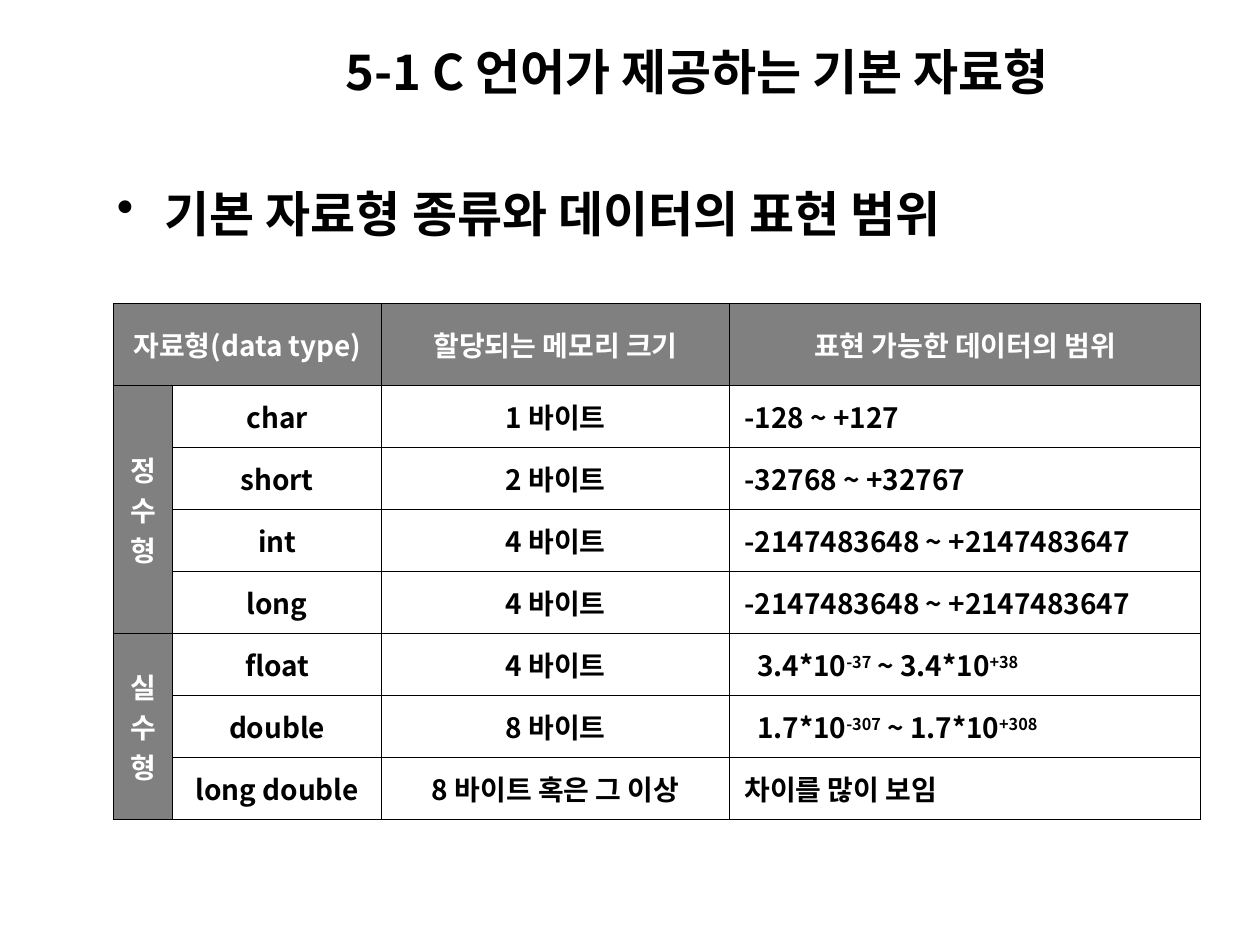
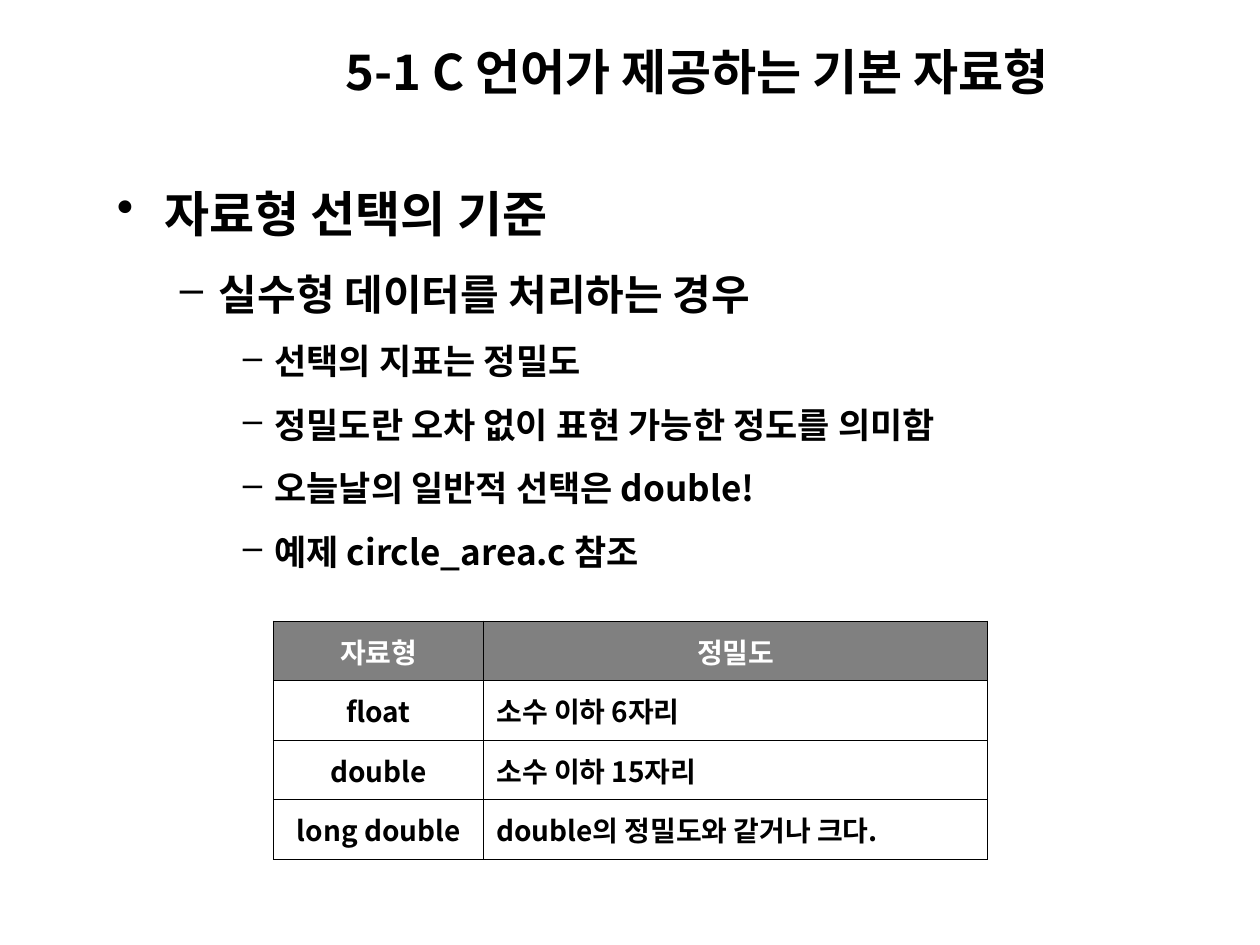
"""Builds two slides on the basic data types of C."""
from lxml.etree import SubElement
from pptx import Presentation
from pptx.dml.color import RGBColor
from pptx.enum.text import MSO_ANCHOR, PP_ALIGN
from pptx.oxml.ns import qn
from pptx.util import Inches, Pt

FONT = "Noto Sans CJK KR"
BLACK = RGBColor(0x00, 0x00, 0x00)
WHITE = RGBColor(0xFF, 0xFF, 0xFF)
GRAY = RGBColor(0x80, 0x80, 0x80)
OUTER, INNER = 0.75, 0.45
LEVELS = [
    {"size": 28, "left": 0.38, "hang": 0.38, "before": 7, "mark": "•"},
    {"size": 24, "left": 0.81, "hang": 0.31, "before": 6, "mark": "–"},
    {"size": 20, "left": 1.25, "hang": 0.25, "before": 5, "mark": "–"},
]
TITLE = "5-1 C 언어가 제공하는 기본 자료형"

TYPE_ROWS = [
    ["자료형(data type)", "", "할당되는 메모리 크기", "표현 가능한 데이터의 범위"],
    ["정\n수\n형", "char", "1 바이트", "-128 ~ +127"],
    ["", "short", "2 바이트", "-32768 ~ +32767"],
    ["", "int", "4 바이트", "-2147483648 ~ +2147483647"],
    ["", "long", "4 바이트", "-2147483648 ~ +2147483647"],
    ["실\n수\n형", "float", "4 바이트", "3.4*10^-37^ ~ 3.4*10^+38"],
    ["", "double", "8 바이트", "1.7*10^-307^ ~ 1.7*10^+308"],
    ["", "long double", "8 바이트 혹은 그 이상", "차이를 많이 보임"],
]
TYPE_MERGES = [((0, 0), (0, 1)), ((1, 0), (4, 0)), ((5, 0), (7, 0))]

PRECISION_ROWS = [
    ["자료형", "정밀도"],
    ["float", "소수 이하 6자리"],
    ["double", "소수 이하 15자리"],
    ["long double", "double의 정밀도와 같거나 크다."],
]

CRITERIA = [
    (0, "자료형 선택의 기준"),
    (1, "실수형 데이터를 처리하는 경우"),
    (2, "선택의 지표는 정밀도"),
    (2, "정밀도란 오차 없이 표현 가능한 정도를 의미함"),
    (2, "오늘날의 일반적 선택은 double!"),
    (2, "예제 circle_area.c 참조"),
]


class Deck:
    """Holds the style and the current slide; lengths are percentages of the slide."""

    def __init__(self):
        self.prs = Presentation()
        self.prs.slide_width, self.prs.slide_height = Inches(10), Inches(7.5)
        self.slide = None

    def x(self, percent):
        """Turn a share of the width into a length."""
        return round(self.prs.slide_width * percent / 100)

    def y(self, percent):
        """Turn a share of the height into a length."""
        return round(self.prs.slide_height * percent / 100)

    def box(self, left, top, width, height):
        """Turn four shares into a position and a size."""
        return self.x(left), self.y(top), self.x(width), self.y(height)

    def style(self, paragraph, size, color):
        """Format every run of a paragraph."""
        for run in paragraph.runs:
            run.font.size, run.font.bold, run.font.name = Pt(size), True, FONT
            run.font.color.rgb = color
            SubElement(run._r.get_or_add_rPr(), qn("a:ea"), typeface=FONT)

    def add_slide(self, text):
        """Start a slide with its title."""
        self.slide = self.prs.slides.add_slide(self.prs.slide_layouts[5])
        title = self.slide.shapes.title
        title.left, title.top, title.width, title.height = self.box(26.4, 3.73, 66.9, 7.6)
        title.text_frame.text = text
        title.text_frame.vertical_anchor = MSO_ANCHOR.MIDDLE
        heading = title.text_frame.paragraphs[0]
        heading.alignment = PP_ALIGN.LEFT
        self.style(heading, 28, BLACK)

    def bullets(self, top, height, items, spacing):
        """Add an outline of (level, text) items."""
        frame = self.slide.shapes.add_textbox(*self.box(8.3, top, 85, height)).text_frame
        frame.word_wrap = True
        frame.text = "\n".join(text for _, text in items)
        for index, (paragraph, (depth, _)) in enumerate(zip(frame.paragraphs, items)):
            level = LEVELS[depth]
            paragraph.level = depth
            props = paragraph._p.get_or_add_pPr()
            props.set("marL", str(Inches(level["left"])))
            props.set("indent", str(-Inches(level["hang"])))
            bullet_color = SubElement(props, qn("a:buClr"))
            SubElement(bullet_color, qn("a:srgbClr"), val=str(BLACK))
            SubElement(props, qn("a:buChar"), char=level["mark"])
            paragraph.line_spacing = spacing
            paragraph.space_before = Pt(level["before"] if index else 0)
            self.style(paragraph, level["size"], BLACK)

    def table(self, left, top, widths, heights, rows, merges=(), margin=1.0):
        """Add a ruled table with gray headings."""
        area = self.box(left, top, sum(widths), sum(heights))
        table = self.slide.shapes.add_table(len(rows), len(widths), *area).table
        table.first_row = table.horz_banding = False
        for column, width in zip(table.columns, widths):
            column.width = self.x(width)
        for row, height in zip(table.rows, heights):
            row.height = self.y(height)
        for first, last in merges:
            table.cell(*first).merge(table.cell(*last))
        for r, texts in enumerate(rows):
            for c, text in enumerate(texts):
                cell = table.cell(r, c)
                edges = {
                    "L": c == 0,
                    "R": c + cell.span_width == len(widths),
                    "T": r == 0,
                    "B": r + cell.span_height == len(rows),
                }
                self.borders(cell, edges)
                heading = r == 0 or cell.is_merge_origin or cell.is_spanned
                centred = heading or c < len(widths) - 1
                self.fill_cell(cell, text, heading, centred, margin)

    def borders(self, cell, edges):
        """Rule the four sides of a cell, heavier on the table's edges."""
        props = cell._tc.get_or_add_tcPr()
        for side, outside in edges.items():
            width = Pt(OUTER if outside else INNER)
            line = SubElement(props, qn(f"a:ln{side}"), w=str(width))
            fill = SubElement(line, qn("a:solidFill"))
            SubElement(fill, qn("a:srgbClr"), val=str(BLACK))

    def fill_cell(self, cell, text, heading, centred, margin):
        """Write and format a cell; text between carets is raised."""
        if heading:
            cell.fill.solid()
            cell.fill.fore_color.rgb = GRAY
        else:
            cell.fill.background()
        cell.vertical_anchor = MSO_ANCHOR.MIDDLE
        cell.margin_left = cell.margin_right = self.x(margin)
        base, *others = text.split("^")
        cell.text_frame.text = base
        if others:
            power = cell.text_frame.paragraphs[0]
            power._p.get_or_add_pPr().set("marL", str(self.x(1)))
            for index, part in enumerate(others):
                run = power.add_run()
                run.text = part
                if index % 2 == 0:
                    run._r.get_or_add_rPr().set("baseline", "30000")
        for paragraph in cell.text_frame.paragraphs:
            paragraph.alignment = PP_ALIGN.CENTER if centred else PP_ALIGN.LEFT
            self.style(paragraph, 16, WHITE if heading else BLACK)


def main():
    """Build and save both slides."""
    deck = Deck()

    deck.add_slide(TITLE)
    deck.bullets(17.47, 8.8, [(0, "기본 자료형 종류와 데이터의 표현 범위")], 1.2)
    deck.table(9, 32.13, [4.7, 16.6, 27.6, 37.4], [8.67] + [6.56] * 7,
               TYPE_ROWS, TYPE_MERGES, margin=1.2)

    deck.add_slide(TITLE)
    deck.bullets(16.93, 44.27, CRITERIA, 1.3)
    deck.table(21.7, 65.73, [16.7, 40], [6.3] * 4, PRECISION_ROWS)

    deck.prs.save("out.pptx")


if __name__ == "__main__":
    main()
